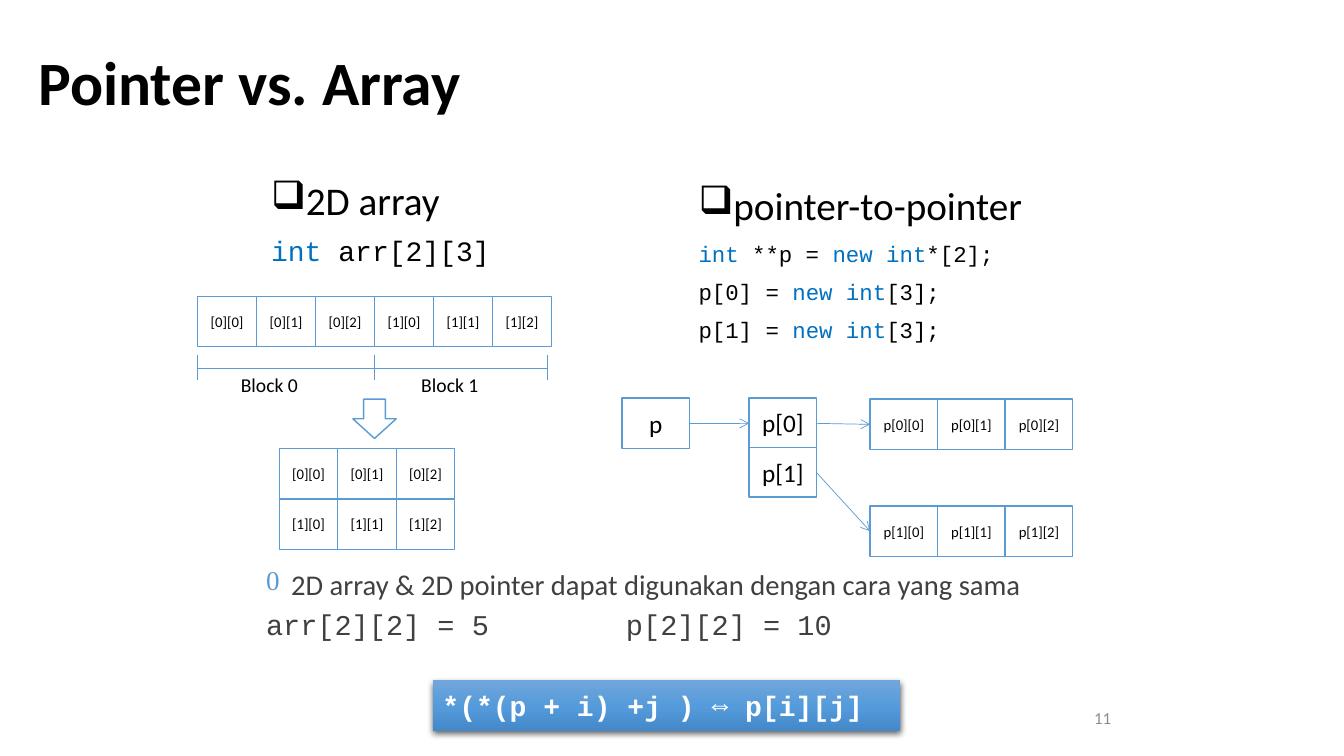
from copy import deepcopy
from dataclasses import dataclass

from lxml import etree
from pptx import Presentation
from pptx.dml.color import RGBColor
from pptx.enum.shapes import MSO_CONNECTOR, MSO_SHAPE
from pptx.enum.text import MSO_ANCHOR, PP_ALIGN
from pptx.oxml.ns import qn
from pptx.util import Emu, Inches, Pt

RECT, DOWN_ARROW = MSO_SHAPE.RECTANGLE, MSO_SHAPE.DOWN_ARROW
STRAIGHT = MSO_CONNECTOR.STRAIGHT
LEFT, CENTER, RIGHT = PP_ALIGN.LEFT, PP_ALIGN.CENTER, PP_ALIGN.RIGHT
TOP, MIDDLE = MSO_ANCHOR.TOP, MSO_ANCHOR.MIDDLE


@dataclass(frozen=True)
class Theme:
    sans: str = "Calibri"
    mono: str = "Courier New"
    black: str = "000000"
    white: str = "FFFFFF"
    blue: str = "5B9BD5"
    keyword: str = "0070C0"
    body: str = "404040"
    muted: str = "8C8C8C"
    gradient: tuple = ((0, "71A6DB"), (0.5, "559BDB"), (1, "448ACA"))
    title: float = 44
    heading: float = 28
    note: float = 20.4
    code: float = 20
    small_code: float = 16
    node: float = 18
    label: float = 14
    number: float = 12
    cell: float = 10.5


T = Theme()


def rgb(color):
    return RGBColor.from_string(color)


def style(p, size, color=T.black, name=T.sans, bold=False):
    p.font.size, p.font.name, p.font.bold = Pt(size), name, bold
    p.font.color.rgb = rgb(color)


def child(parent, tag, **attrs):
    return etree.SubElement(parent, qn(tag), attrs)


def bullet(p, char, color=None):
    pPr = p._p.get_or_add_pPr()
    pPr.set("marL", str(Inches(0.25)))
    pPr.set("indent", str(Inches(-0.25)))
    if color:
        child(child(pPr, "a:buClr"), "a:srgbClr", val=color)
        child(pPr, "a:buSzPct", val="95000")
    child(pPr, "a:buChar", char=char)


def text_box(s, x, y, w, h, wrap=True, anchor=TOP):
    tf = s.shapes.add_textbox(*map(Inches, (x, y, w, h))).text_frame
    tf.word_wrap, tf.vertical_anchor = wrap, anchor
    return tf


def shape(s, kind, x, y, w, h):
    sp = s.shapes.add_shape(kind, *map(Inches, (x, y, w, h)))
    sp.shadow.inherit = False
    sp.fill.solid()
    sp.fill.fore_color.rgb = rgb(T.white)
    sp.line.color.rgb = rgb(T.blue)
    sp.line.width = Pt(1)
    return sp


def line(s, x1, y1, x2, y2, arrow=False):
    cx = s.shapes.add_connector(STRAIGHT, *map(Inches, (x1, y1, x2, y2)))
    cx.line.color.rgb = rgb(T.blue)
    cx.line.width = Pt(0.5)
    if arrow:
        child(cx.line._get_or_add_ln(), "a:tailEnd", type="arrow")
    child(cx._element.spPr, "a:effectLst")


def grid(s, x, y, w, h, rows, size=T.cell):
    for i, row in enumerate(rows):
        for j, label in enumerate(row):
            sp = shape(s, RECT, x + j * w, y + i * h, w, h)
            tf = sp.text_frame
            tf.margin_left = tf.margin_right = Emu(0)
            tf.vertical_anchor = MIDDLE
            p = tf.paragraphs[0]
            p.text, p.alignment = label, CENTER
            style(p, size)


def title(s, x, y, w, h):
    sp = s.shapes.title
    sp.left, sp.top, sp.width, sp.height = map(Inches, (x, y, w, h))
    tf = sp.text_frame
    tf.vertical_anchor = MIDDLE
    p = tf.paragraphs[0]
    p.text, p.alignment, p.line_spacing = "Pointer vs. Array", LEFT, 0.9
    style(p, T.title, bold=True)


def declaration(s, x, y, w, h, heading, code, size):
    tf = text_box(s, x, y, w, h)
    p = tf.paragraphs[0]
    p.text = heading
    bullet(p, "❑")
    p.line_spacing = 0.9
    style(p, T.heading)
    for pieces in code:
        p = tf.add_paragraph()
        p.line_spacing, p.space_before = 0.9, Pt(10)
        style(p, size, name=T.mono)
        for piece in pieces:
            r = p.add_run()
            r.text = piece
            is_keyword = piece.strip() in ("int", "new int")
            r.font.color.rgb = rgb(T.keyword if is_keyword else T.black)


def array_diagram(s, x, y):
    w, h = 0.58, 0.5
    rows = [[f"[{i}][{j}]" for j in range(3)] for i in range(2)]
    grid(s, x, y, w + 0.005, h, [rows[0] + rows[1]])
    for tick in (0, 1.75, 3.47):
        line(s, x + tick, y + 0.58, x + tick, y + 0.83)
    line(s, x, y + 0.71, x + 3.47, y + 0.71)
    for i, dx in enumerate((0.33, 2.12)):
        p = text_box(s, x + dx, y + 0.71, 0.77, 0.34, wrap=False).paragraphs[0]
        p.text = f"Block {i}"
        style(p, T.label)
    shape(s, DOWN_ARROW, x + 1.54, y + 1.02, 0.43, 0.39)
    grid(s, x + 0.81, y + 1.51, w, h, rows)


def pointer_diagram(s, x, y):
    w, h = 0.67, 0.5
    column, cells = x + 1.26, x + 2.46
    grid(s, x, y, w, h, [["p"]], T.node)
    grid(s, column, y, w, h - 0.01, [["p[0]"], ["p[1]"]], T.node)
    line(s, x + w, y + 0.25, column, y + 0.25, arrow=True)
    for i, top in enumerate((0.01, 1.07)):
        grid(s, cells, y + top, w, h, [[f"p[{i}][{j}]" for j in range(3)]])
        line(s, column + w, y + 0.25 + i * 0.49, cells, y + top + 0.25, arrow=True)


def usage(s, x, y, w, h):
    tf = text_box(s, x, y, w, h)
    p = tf.paragraphs[0]
    p.text = "2D array & 2D pointer dapat digunakan dengan cara yang sama"
    bullet(p, "0", T.blue)
    style(p, T.note, T.body)
    p = tf.add_paragraph()
    p.text = "arr[2][2] = 5\tp[2][2] = 10"
    tabs = child(p._p.get_or_add_pPr(), "a:tabLst")
    child(tabs, "a:tab", pos=str(Inches(3.57)), algn="l")
    p.space_before = Pt(4)
    style(p, T.note, T.body, T.mono)


def formula(s, x, y, w, h):
    sp = shape(s, RECT, x, y, w, h)
    sp.line.fill.background()
    sp.fill.gradient()
    sp.fill.gradient_angle = 270
    stops = sp._element.spPr.find(qn("a:gradFill")).find(qn("a:gsLst"))
    stops.append(deepcopy(stops[-1]))
    for stop, (position, color) in zip(sp.fill.gradient_stops, T.gradient):
        stop.position, stop.color.rgb = position, rgb(color)
    shadow = child(sp._element.spPr.find(qn("a:effectLst")), "a:outerShdw",
                   blurRad=str(Pt(4.5)), dist=str(Pt(1.5)), dir="5400000", rotWithShape="0")
    child(child(shadow, "a:srgbClr", val=T.black), "a:alpha", val="63000")
    tf = sp.text_frame
    tf.vertical_anchor = MIDDLE
    p = tf.paragraphs[0]
    p.text, p.alignment = "*(*(p + i) +j ) ⇔ p[i][j]", LEFT
    style(p, T.code, T.white, T.mono, bold=True)


def page_number(s, x, y, w, h):
    p = text_box(s, x, y, w, h, anchor=MIDDLE).paragraphs[0]
    p.text, p.alignment = "11", RIGHT
    style(p, T.number, T.muted)


def main():
    prs = Presentation()
    prs.slide_width, prs.slide_height = Inches(13.33), Inches(7.5)
    s = prs.slides.add_slide(prs.slide_layouts[5])
    title(s, 0.28, 0.12, 11.5, 1.45)
    declaration(s, 2.59, 1.75, 4, 1.02, "2D array", [("int ", "arr[2][3]")], T.code)
    rows = [(f"p[{i}] = ", "new int", "[3];") for i in range(2)]
    declaration(s, 6.83, 1.8, 4, 1.94, "pointer-to-pointer",
                [("int ", "**p = ", "new int", "*[2];"), *rows], T.small_code)
    array_diagram(s, 1.96, 2.94)
    pointer_diagram(s, 6.17, 3.95)
    usage(s, 2.54, 5.58, 8.08, 1.02)
    formula(s, 4.29, 6.75, 4.64, 0.5)
    page_number(s, 8.79, 6.92, 2.33, 0.4)
    prs.save("out.pptx")


if __name__ == "__main__":
    main()
